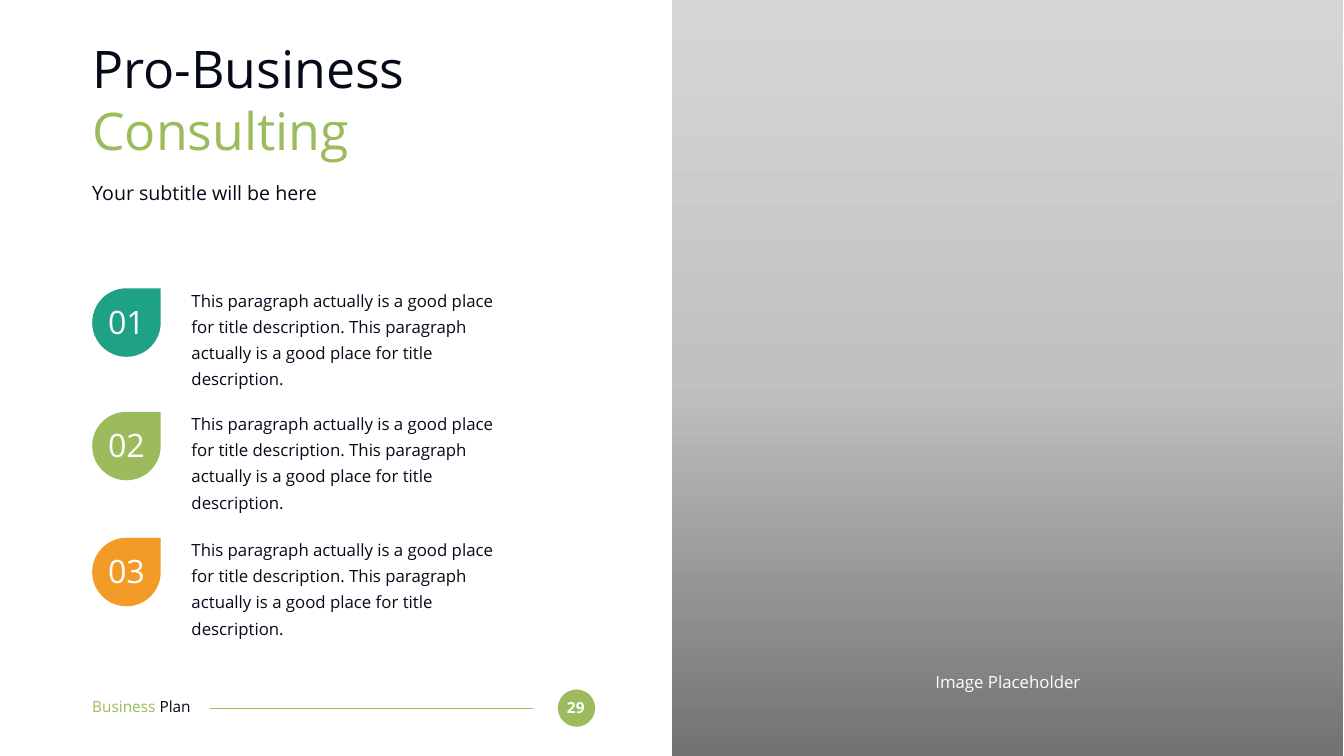
import copy
import pptx
import pptx.dml.color
import pptx.enum.shapes
import pptx.enum.text
import pptx.oxml
import pptx.util

Inches = pptx.util.Inches
Shapes = pptx.enum.shapes.MSO_SHAPE
LEFT = pptx.enum.text.PP_ALIGN.LEFT
CENTER = pptx.enum.text.PP_ALIGN.CENTER
INK, GREEN, WHITE = "050A19", "9CBB5D", "FFFFFF"
MARGIN = 1.83

deck = pptx.Presentation()
deck.slide_width = Inches(26.67)
deck.slide_height = Inches(15)
page = deck.slides.add_slide(deck.slide_layouts[6])


def color(value):
    return pptx.dml.color.RGBColor.from_string(value)


def add_text(left, top, width, height, spans, size, align=LEFT, spacing=None, bold=False):
    box = page.shapes.add_textbox(Inches(left), Inches(top), Inches(width), Inches(height))
    frame = box.text_frame
    frame.word_wrap = True
    frame.margin_left = frame.margin_top = frame.margin_right = frame.margin_bottom = 0
    para = frame.paragraphs[0]
    para.alignment = align
    para.line_spacing = spacing
    for text, tint in spans:
        span = para.add_run()
        span.text = text
        span.font.name = "Open Sans"
        span.font.size = pptx.util.Pt(size)
        span.font.bold = bold
        span.font.color.rgb = color(tint)


badge = page.shapes.add_shape(Shapes.OVAL, Inches(11.07), Inches(13.68), Inches(0.74), Inches(0.74))
badge.shadow.inherit = False
badge.fill.solid()
badge.fill.fore_color.rgb = color(GREEN)
badge.line.fill.background()
add_text(11.13, 13.85, 0.59, 0.37, [("29", WHITE)], 22, CENTER, bold=True)

rule = page.shapes.add_connector(
    pptx.enum.shapes.MSO_CONNECTOR.STRAIGHT, Inches(10.57), Inches(14.05), Inches(4.16), Inches(14.05))
rule.line.color.rgb = color(GREEN)
rule.line.width = pptx.util.Pt(1.5)
rule._element.spPr.append(pptx.oxml.parse_xml(
    '<a:effectLst xmlns:a="http://schemas.openxmlformats.org/drawingml/2006/main"/>'))
add_text(MARGIN, 13.84, 2.59, 0.37, [("Business ", GREEN), ("Plan", INK)], 22)

add_text(MARGIN, 0.73, 9.9, 2.52, [("Pro-Business ", INK), ("Consulting", GREEN)], 74)
add_text(MARGIN, 3.59, 9.9, 0.49, [("Your subtitle will be here", INK)], 28)

description = "This paragraph actually is a good place for title description. " * 2
steps = [("01", 5.64, "1FA185"), ("02", 8.09, GREEN), ("03", 10.59, "F29B27")]
for number, top, tint in steps:
    add_text(3.8, top, 6.28, 1.53, [(description.strip(), INK)], 24, spacing=1.3)
    drop = page.shapes.add_shape(
        Shapes.TEAR, Inches(MARGIN), Inches(top + 0.08), Inches(1.36), Inches(1.36))
    drop.shadow.inherit = False
    drop.fill.solid()
    drop.fill.fore_color.rgb = color(tint)
    drop.line.fill.background()
    add_text(1.96, top + 0.35, 1.1, 0.77, [(number, WHITE)], 46, CENTER)

panel = page.shapes.add_shape(Shapes.RECTANGLE, Inches(13.33), 0, Inches(13.33), Inches(15))
panel.shadow.inherit = False
panel.line.fill.background()
panel.fill.gradient()
panel.fill.gradient_angle = 90
first_stop = panel._element.spPr.xpath("./a:gradFill/a:gsLst/a:gs")[0]
first_stop.addnext(copy.deepcopy(first_stop))
gradient = [(0, "727272"), (0.5, "C1C1C1"), (1, "D6D6D6")]
for stop, (position, tint) in zip(panel.fill.gradient_stops, gradient):
    stop.position = position
    stop.color.rgb = color(tint)
add_text(16.48, 13.32, 7.04, 0.4, [("Image Placeholder", WHITE)], 24, CENTER)

deck.save("out.pptx")
